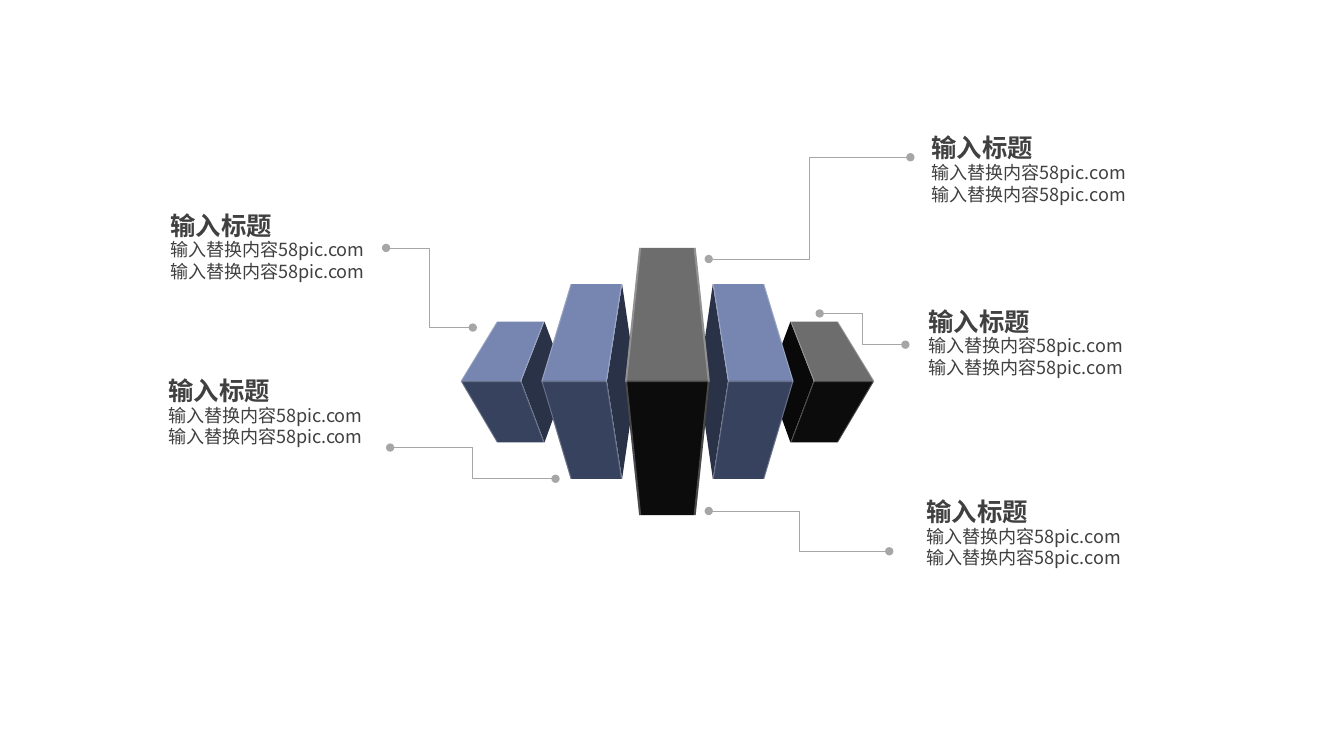
import dataclasses

import pptx
import pptx.dml.color
import pptx.enum.shapes
import pptx.enum.text
import pptx.oxml.ns
import pptx.util
from lxml import etree

Inches = pptx.util.Inches
qn = pptx.oxml.ns.qn


@dataclasses.dataclass(frozen=True)
class Theme:
    font: str = "Noto Sans CJK SC"
    text: str = "404040"
    line: str = "A6A6A6"
    highlight: str = "FFFFFF"
    # side, top and front face colours
    blue: tuple = ("293247", "7686B0", "37425F")
    black: tuple = ("090909", "6D6D6D", "0C0C0C")
    title_size: float = 18.1
    body_size: float = 12.9


theme = Theme()
MID = 3.78  # height of the ridge shared by all slabs
MIRROR = 13.24  # x on the left becomes MIRROR - x on the right

prs = pptx.Presentation()
prs.slide_width, prs.slide_height = Inches(13.33), Inches(7.5)
s = prs.slides.add_slide(prs.slide_layouts[6])
slabs = s.shapes.add_group_shape()


def add_face(points, color, mirrored=False, opacity=None):
    """Draw a filled polygon, flipped to the right half if mirrored."""
    points = [(Inches(MIRROR - x if mirrored else x), Inches(y)) for x, y in points]
    builder = slabs.shapes.build_freeform(*points[0], scale=1.0)
    builder.add_line_segments(points[1:], close=True)
    sp = builder.convert_to_shape()
    sp.shadow.inherit = False
    sp.line.fill.background()
    sp.fill.solid()
    sp.fill.fore_color.rgb = pptx.dml.color.RGBColor.from_string(color)
    if opacity:
        clr = sp._element.spPr.find(qn("a:solidFill"))[0]
        etree.SubElement(clr, qn("a:alpha")).set("val", str(opacity * 1000))


def add_text(left, top, width, height, text, size, bold, anchor):
    tb = s.shapes.add_textbox(Inches(left), Inches(top), Inches(width), Inches(height))
    tf = tb.text_frame
    tf.word_wrap = True
    tf.vertical_anchor = anchor
    tf.margin_left, tf.margin_right = Inches(0.21), Inches(0.14)
    tf.margin_top = tf.margin_bottom = 0
    p = tf.paragraphs[0]
    p.text = text
    p.font.size = pptx.util.Pt(size)
    p.font.bold = bold
    p.font.name = theme.font
    p.font.color.rgb = pptx.dml.color.RGBColor.from_string(theme.text)
    ea = etree.SubElement(p.runs[0].font._element, qn("a:ea"))
    ea.set("typeface", theme.font)


# Left-hand slab outlines: x of the ridge (outer, inner), of the far edge
# (outer, inner) and of the side's tip, then y of the top and bottom.
OUTER = (4.57, 5.17, 4.93, 5.4, 5.62, 3.19, 4.39)
INNER = (5.37, 6.02, 5.66, 6.17, 6.31, 2.82, 4.75)
side_slabs = [
    (OUTER, theme.blue, False),
    (INNER, theme.blue, False),
    (OUTER, theme.black, True),
    (INNER, theme.blue, True),
]
for (ridge_out, ridge_in, far_out, far_in, tip, top, bottom), colors, mirrored in side_slabs:
    side, upper, front = colors
    add_face([(ridge_in, MID), (far_in, top), (tip, MID), (far_in, bottom)], side, mirrored)
    for y, color in ((top, upper), (bottom, front)):
        add_face([(ridge_in, MID), (far_in, y), (far_out, y), (ridge_out, MID)], color, mirrored)

CENTRE_RIDGE, CENTRE_FAR, CENTRE_TOP, CENTRE_BOTTOM = 6.2, 6.34, 2.46, 5.11
for y, color in ((CENTRE_TOP, theme.black[1]), (CENTRE_BOTTOM, theme.black[2])):
    add_face([(CENTRE_RIDGE, MID), (CENTRE_FAR, y),
              (MIRROR - CENTRE_FAR, y), (MIRROR - CENTRE_RIDGE, MID)], color)

# Pale highlights: a thin strip along each ridge and each bent edge
ridges = [(slab[0], slab[1], mirrored) for slab, _, mirrored in side_slabs]
ridges.append((CENTRE_RIDGE, MIRROR - CENTRE_RIDGE, False))
for x1, x2, mirrored in ridges:
    add_face([(x1, MID), (x2, MID), (x2, MID + 0.01), (x1, MID + 0.01)],
             theme.highlight, mirrored, 25)

edges = [(CENTRE_RIDGE, CENTRE_FAR, CENTRE_TOP, CENTRE_BOTTOM, 0.02)]
for ridge_out, ridge_in, far_out, far_in, _, top, bottom in (OUTER, INNER):
    edges.append((ridge_out, far_out, top, bottom, 0.01))
    edges.append((ridge_in, far_in, top, bottom, -0.01))
for ridge, far, top, bottom, width in edges:
    strip = [(ridge, MID), (far, top), (far + width, top),
             (ridge + width, MID), (far + width, bottom), (far, bottom)]
    for mirrored in (False, True):
        add_face(strip, theme.highlight, mirrored, 25)

leaders = [
    (4.69, 3.25, 3.83, 2.46),
    (5.51, 4.75, 3.87, 4.44),
    (9.03, 1.56, 7.03, 2.57),
    (8.98, 3.42, 8.13, 3.11),
    (8.82, 5.47, 7.03, 5.07),
]
for ends in leaders:
    cn = s.shapes.add_connector(pptx.enum.shapes.MSO_CONNECTOR.ELBOW, *map(Inches, ends))
    cn.line.color.rgb = pptx.dml.color.RGBColor.from_string(theme.line)
    cn.line.width = pptx.util.Pt(0.5)
    for tag in ("a:headEnd", "a:tailEnd"):
        etree.SubElement(cn.line._get_or_add_ln(), qn(tag)).set("type", "oval")
    etree.SubElement(cn._element.spPr, qn("a:effectLst"))

anchors = pptx.enum.text.MSO_ANCHOR
for left, top in ((1.48, 2.1), (1.46, 3.74), (9.03, 1.33), (9, 3.05), (8.98, 4.94)):
    add_text(left, top, 2.83, 0.27, "输入标题", theme.title_size, True, anchors.MIDDLE)
    add_text(left, top + 0.27, 2.41, 0.59, "输入替换内容58pic.com" * 2,
             theme.body_size, False, anchors.TOP)

prs.save("out.pptx")
